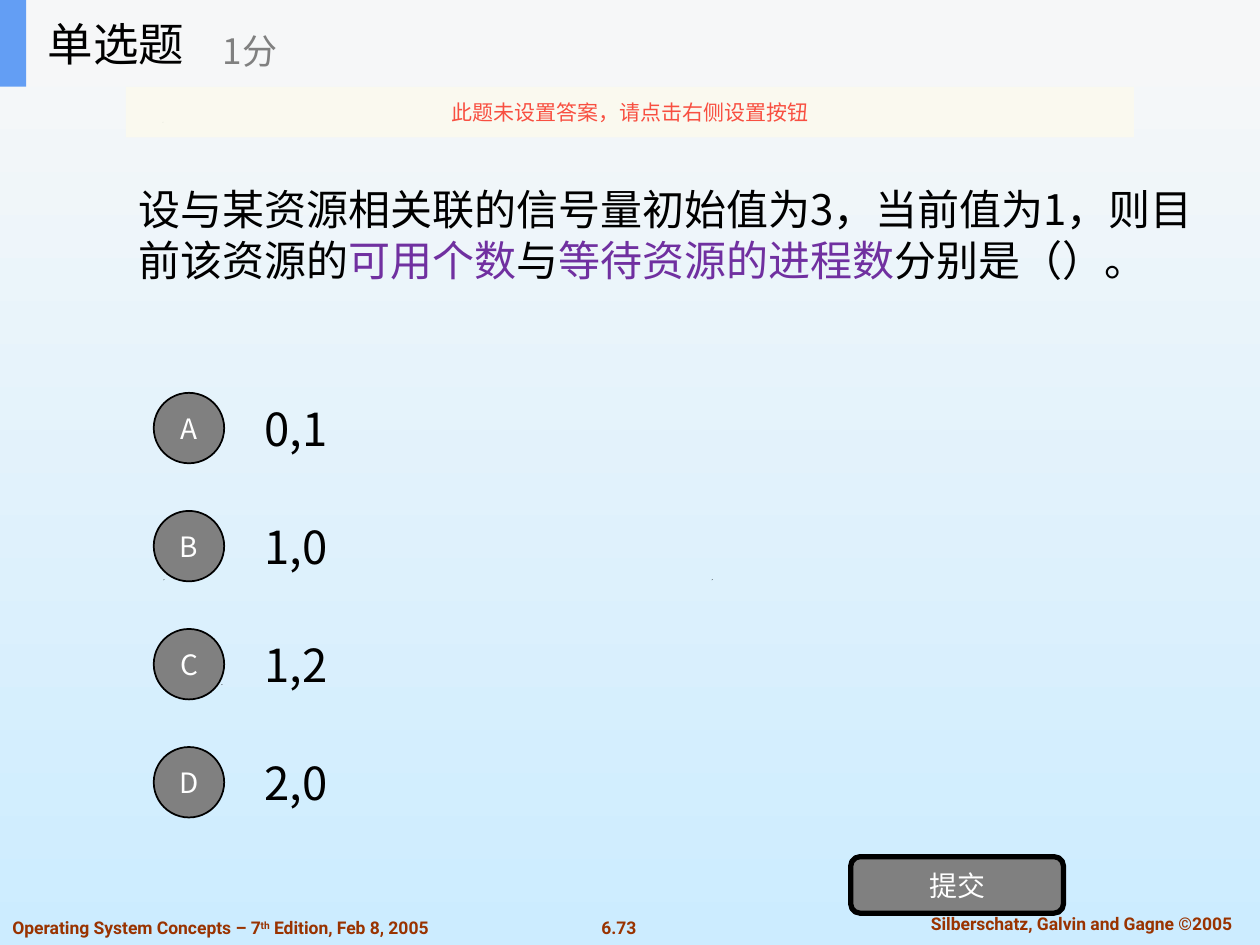
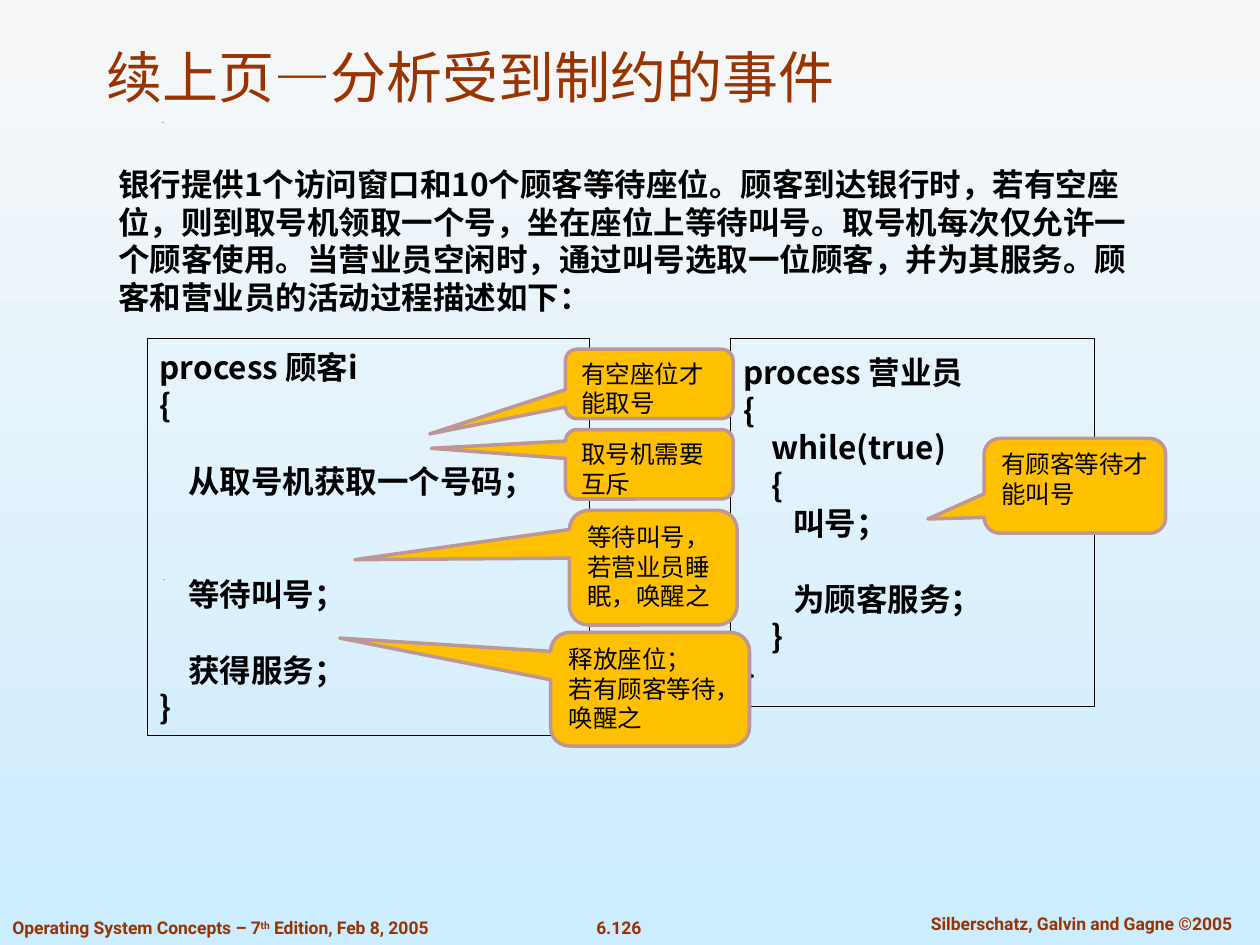
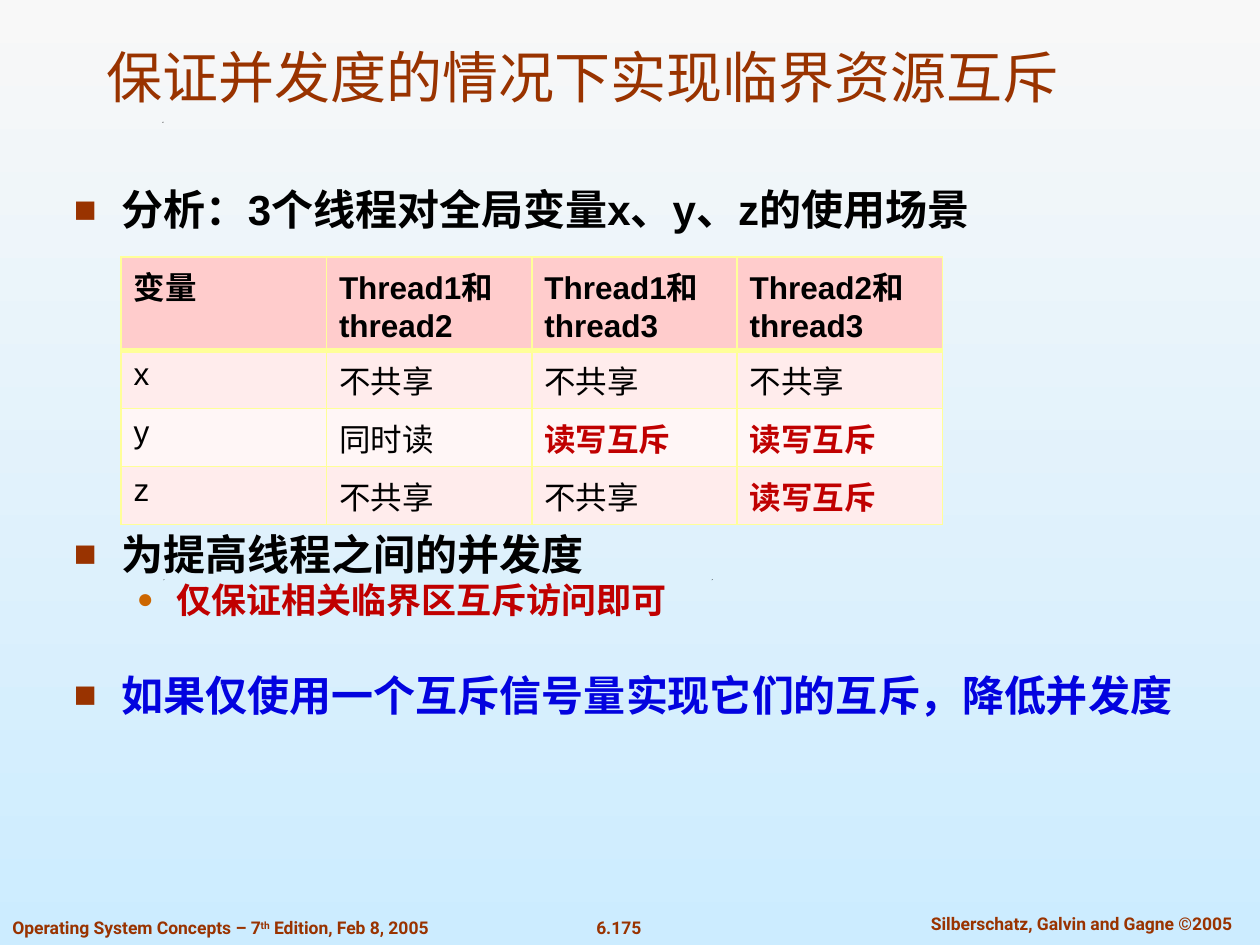
from dataclasses import dataclass, replace
from typing import Optional

from lxml.etree import SubElement
from pptx import Presentation
from pptx.dml.color import RGBColor
from pptx.enum.shapes import MSO_SHAPE as Preset
from pptx.enum.text import MSO_ANCHOR as Anchor, PP_ALIGN as Align
from pptx.oxml.ns import qn
from pptx.util import Cm, Pt

COLORS = {
    "sky_top": "F8F8F8", "sky_bottom": "CCECFF", "rust": "993300",
    "black": "000000", "white": "FFFFFF", "gray": "808080",
    "purple": "7030A0", "red": "C00000", "blue": "0303DF",
    "header": "F6F7F8", "accent": "639EF4", "banner": "FBFAEF",
    "warning": "F84F41", "callout": "FFC000", "callout_edge": "BD9797",
    "bullet": "CC6600", "grid": "FFFF99", "table_head": "FFCCCC",
    "row_odd": "FFECEC", "row_even": "FFF6F6",
}
CJK = "Noto Sans CJK SC"
LINE_RATIO = 1.2


@dataclass(frozen=True)
class Box:
    left: float
    top: float
    width: float
    height: float

    def lengths(self) -> tuple:
        return Cm(self.left), Cm(self.top), Cm(self.width), Cm(self.height)


@dataclass(frozen=True)
class Style:
    size: float
    color: str = "black"
    bold: bool = False
    font: str = CJK
    align: Align = Align.LEFT
    exact: bool = True  # fixed line height of LINE_RATIO times the size


@dataclass(frozen=True)
class Bullet:
    char: str
    color: str
    percent: int
    margin: float
    hanging: float
    level: int = 0


@dataclass(frozen=True)
class Run:
    text: str
    color: Optional[str] = None
    raised: bool = False


@dataclass(frozen=True)
class Line:
    runs: tuple
    style: Style
    before: float = 0
    bullet: Optional[Bullet] = None


@dataclass(frozen=True)
class Callout:
    box: Box
    pointer: tuple
    texts: tuple


FOOTER = Style(10, "rust", True, "Roboto", exact=False)
FOOTER_CENTER = replace(FOOTER, align=Align.CENTER)
TITLE = Style(32, "rust", font="Arial")
QUESTION = Style(24)
OPTION = Style(26, exact=False)
BUTTON = Style(16, "white", align=Align.CENTER, exact=False)
CODE = Style(18, bold=True)
NOTE = Style(14, font="Arial")
POINT = Style(24, bold=True, font="Arial")
CELL = Style(18, font="Arial", exact=False)
SQUARE = Bullet("■", "rust", 90, 0.97, 0.97)
DOT = Bullet("●", "bullet", 80, 2.06, 0.79, 1)


# Text
def rgb(name: str) -> RGBColor:
    return RGBColor.from_string(COLORS[name])


def add_bullet(paragraph, bullet: Bullet) -> None:
    paragraph.level = bullet.level
    properties = paragraph._p.get_or_add_pPr()
    properties.set("marL", str(Cm(bullet.margin)))
    properties.set("indent", str(-Cm(bullet.hanging)))
    color = SubElement(properties, qn("a:buClr"))
    SubElement(color, qn("a:srgbClr"), val=COLORS[bullet.color])
    SubElement(properties, qn("a:buSzPct"), val=str(bullet.percent * 1000))
    SubElement(properties, qn("a:buFont"), typeface="Arial")
    SubElement(properties, qn("a:buChar"), char=bullet.char)


def write_lines(frame, lines: list) -> None:
    for index, line in enumerate(lines):
        paragraph = frame.add_paragraph() if index else frame.paragraphs[0]
        style = line.style
        if line.bullet:
            add_bullet(paragraph, line.bullet)
        paragraph.alignment = style.align
        if style.exact:
            paragraph.line_spacing = Pt(style.size * LINE_RATIO)
        if line.before:
            paragraph.space_before = Pt(line.before)
        font = paragraph.font
        font.size, font.bold, font.name = Pt(style.size), style.bold, style.font
        font.color.rgb = rgb(style.color)
        defaults = paragraph._p.pPr.find(qn("a:defRPr"))
        SubElement(defaults, qn("a:ea"), typeface=CJK)
        for part in line.runs:
            run = paragraph.add_run()
            run.text = part.text
            if part.color:
                run.font.color.rgb = rgb(part.color)
            if part.raised:
                run._r.get_or_add_rPr().set("baseline", "30000")


def plain(text: str, style: Style, before: float = 0,
          bullet: Optional[Bullet] = None) -> Line:
    return Line((Run(text),), style, before, bullet)


def add_text(slide, box: Box, lines: list, anchor: Anchor = Anchor.TOP) -> None:
    frame = slide.shapes.add_textbox(*box.lengths()).text_frame
    frame.word_wrap = True
    frame.vertical_anchor = anchor
    write_lines(frame, lines)


# Shapes
def paint(shape, fill: Optional[str], edge: Optional[str], width: float) -> None:
    shape.shadow.inherit = False
    if fill:
        shape.fill.solid()
        shape.fill.fore_color.rgb = rgb(fill)
    else:
        shape.fill.background()
    if edge:
        shape.line.color.rgb = rgb(edge)
        shape.line.width = Pt(width)
    else:
        shape.line.fill.background()


def add_panel(slide, preset: Preset, box: Box, fill: Optional[str] = None,
              edge: Optional[str] = None, width: float = 1, lines: tuple = (),
              anchor: Anchor = Anchor.MIDDLE):
    shape = slide.shapes.add_shape(preset, *box.lengths())
    paint(shape, fill, edge, width)
    shape.text_frame.word_wrap = True
    shape.text_frame.vertical_anchor = anchor
    write_lines(shape.text_frame, lines)
    return shape


def add_speck(slide, left: float, top: float) -> None:
    size = 0.02
    builder = slide.shapes.build_freeform(Cm(left), Cm(top + size))
    builder.add_line_segments([(Cm(left + size), Cm(top)),
                               (Cm(left), Cm(top))], close=True)
    paint(builder.convert_to_shape(), "black", None, 0)


# Shared slide frame
def new_slide(presentation, page: str):
    slide = presentation.slides.add_slide(presentation.slide_layouts[6])
    fill = slide.background.fill
    fill.gradient()
    fill.gradient_angle = 270
    for stop, name in zip(fill.gradient_stops, ("sky_top", "sky_bottom")):
        stop.color.rgb = rgb(name)
    for left, top in ((4.47, 13.79), (3.3, 11.68), (14.35, 11.68), (3.28, 2.46)):
        add_speck(slide, left, top)
    add_text(slide, Box(11.66, 18.36, 1.63, 0.69), [plain(page, FOOTER_CENTER)])
    add_text(slide, Box(18.03, 18.29, 7.54, 0.69),
             [plain("Silberschatz, Galvin and Gagne ©2005", FOOTER_CENTER)])
    edition = (Run("Operating System Concepts – 7"), Run("th", raised=True),
               Run(" Edition, Feb 8, 2005"))
    add_text(slide, Box(0, 18.36, 10.44, 0.69), [Line(edition, FOOTER)])
    return slide


def add_title(slide, text: str) -> None:
    add_text(slide, Box(1.9, 0.64, 22.43, 1.7), [plain(text, TITLE)], Anchor.BOTTOM)


# Slide 1: single choice question
def build_question(presentation) -> None:
    slide = new_slide(presentation, "6.73")
    question = (Run("设与某资源相关联的信号量初始值为3，当前值为1，则目前该资源的"),
                Run("可用个数", "purple"), Run("与"),
                Run("等待资源的进程数", "purple"), Run("分别是（）。"))
    add_text(slide, Box(2.54, 1.75, 22.15, 5.94), [Line(question, QUESTION)],
             Anchor.MIDDLE)

    first, step = 7.75, 2.38
    for index, (letter, answer) in enumerate(zip("ABCD", ("0,1", "1,0", "1,2", "2,0"))):
        top = first + index * step
        add_text(slide, Box(5.08, top, 17.78, 1.78), [plain(answer, OPTION)],
                 Anchor.MIDDLE)
        add_panel(slide, Preset.OVAL, Box(3.1, top + 0.17, 1.42, 1.42),
                  "gray", "black", 1, [plain(letter, BUTTON)])
    add_panel(slide, Preset.ROUNDED_RECTANGLE, Box(17.15, 17.27, 4.29, 1.14),
              "gray", "black", 3, [plain("提交", BUTTON)])

    add_panel(slide, Preset.RECTANGLE, Box(0, 0, 25.4, 1.75), "header")
    add_panel(slide, Preset.RECTANGLE, Box(0, 0, 0.53, 1.75), "accent")
    add_text(slide, Box(0.71, 0, 5.28, 1.75), [plain("单选题", OPTION)], Anchor.MIDDLE)
    add_text(slide, Box(4.24, 0.3, 6.35, 1.42),
             [plain("1分", Style(20, "gray", exact=False))], Anchor.MIDDLE)
    warning = Style(12, "warning", align=Align.CENTER, exact=False)
    banner = add_panel(slide, Preset.RECTANGLE, Box(2.54, 1.75, 20.32, 1.02), "banner",
                       lines=[plain("此题未设置答案，请点击右侧设置按钮", warning)])
    color = banner._element.spPr.find(qn("a:solidFill"))[0]
    SubElement(color, qn("a:alpha"), val="90000")


# Slide 2: two processes with callouts
def code_lines(rows: list) -> list:
    """Each row is its text and the number of empty lines above it."""
    return [plain(text, CODE, gap * CODE.size * LINE_RATIO) for text, gap in rows]


CUSTOMER = [("process 顾客i", 0), ("{", 0), ("    从取号机获取一个号码；", 1),
            ("    等待叫号；", 2), ("    获得服务；", 1), ("}", 0)]
CLERK = [("process 营业员", 0), ("{", 0), ("    while(true)", 0), ("    {", 0),
         ("       叫号；", 0), ("       为顾客服务；", 1), ("    }", 0), ("}", 0)]
CALLOUTS = [
    Callout(Box(11.4, 7.04, 3.38, 1.4), (-1.31, 0.72), ("有空座位才能取号",)),
    Callout(Box(11.4, 8.66, 3.38, 1.4), (-1.3, -0.23), ("取号机需要互斥",)),
    Callout(Box(19.84, 8.84, 3.66, 1.91), (-0.81, 0.35), ("有顾客等待才能叫号",)),
    Callout(Box(11.1, 12.75, 4.01, 2.29), (-1.56, -0.45),
            ("释放座位；", "若有顾客等待，唤醒之")),
    Callout(Box(11.48, 10.29, 3.38, 2.31), (-1.78, -0.07),
            ("等待叫号，若营业员睡眠，唤醒之",)),
]


def build_processes(presentation) -> None:
    slide = new_slide(presentation, "6.126")
    add_title(slide, "续上页—分析受到制约的事件")
    add_text(slide, Box(2.13, 3.2, 20.93, 3.35), [plain(
        "银行提供1个访问窗口和10个顾客等待座位。顾客到达银行时，若有空座位，"
        "则到取号机领取一个号，坐在座位上等待叫号。取号机每次仅允许一个顾客使用。"
        "当营业员空闲时，通过叫号选取一位顾客，并为其服务。"
        "顾客和营业员的活动过程描述如下：", CODE)])
    for box, rows in ((Box(2.97, 6.83, 8.92, 8), CUSTOMER),
                      (Box(14.73, 6.83, 7.34, 7.42), CLERK)):
        add_panel(slide, Preset.RECTANGLE, box, None, "black", 0.75, code_lines(rows))
    for callout in CALLOUTS:
        shape = add_panel(slide, Preset.ROUNDED_RECTANGULAR_CALLOUT, callout.box,
                          "callout", "callout_edge", 2,
                          [plain(text, NOTE) for text in callout.texts], Anchor.TOP)
        shape.adjustments[0], shape.adjustments[1] = callout.pointer


# Slide 3: variable sharing table
SHARING = [
    ("变量", "Thread1和thread2", "Thread1和thread3", "Thread2和thread3"),
    ("x", "不共享", "不共享", "不共享"),
    ("y", "同时读", "读写互斥", "读写互斥"),
    ("z", "不共享", "不共享", "读写互斥"),
]
ROW_FILLS = ("table_head", "row_odd", "row_even", "row_odd")
ROW_HEIGHTS = (1.88, 1.17, 1.17, 1.17)
COLUMN_WIDTH = 4.14


def add_border(cell, side: str, width: float) -> None:
    properties = cell._tc.get_or_add_tcPr()
    line = SubElement(properties, qn(f"a:ln{side}"), w=str(Pt(width)))
    SubElement(SubElement(line, qn("a:solidFill")), qn("a:srgbClr"), val=COLORS["grid"])


def add_sharing_table(slide, left: float, top: float) -> None:
    box = Box(left, top, COLUMN_WIDTH * len(SHARING[0]), sum(ROW_HEIGHTS))
    table = slide.shapes.add_table(len(SHARING), len(SHARING[0]), *box.lengths()).table
    for column in table.columns:
        column.width = Cm(COLUMN_WIDTH)
    for index, texts in enumerate(SHARING):
        table.rows[index].height = Cm(ROW_HEIGHTS[index])
        for column, text in enumerate(texts):
            cell = table.cell(index, column)
            for side in "LRTB":
                under_header = (index, side) in ((0, "B"), (1, "T"))
                add_border(cell, side, 3 if under_header else 1)
            cell.fill.solid()
            cell.fill.fore_color.rgb = rgb(ROW_FILLS[index])
            exclusive = text == "读写互斥"
            style = replace(CELL, bold=index == 0 or exclusive,
                            color="red" if exclusive else "black")
            write_lines(cell.text_frame, [plain(text, style)])


def build_sharing(presentation) -> None:
    slide = new_slide(presentation, "6.175")
    add_title(slide, "保证并发度的情况下实现临界资源互斥")
    add_text(slide, Box(1.24, 3.58, 21.87, 1.6),
             [plain("分析：3个线程对全局变量x、y、z的使用场景", POINT, bullet=SQUARE)])
    add_sharing_table(slide, 2.44, 5.18)
    add_text(slide, Box(1.24, 10.52, 22.91, 5), [
        plain("为提高线程之间的并发度", POINT, bullet=SQUARE),
        plain("仅保证相关临界区互斥访问即可", replace(POINT, size=20, color="red"),
              bullet=DOT),
        plain("如果仅使用一个互斥信号量实现它们的互斥，降低并发度",
              replace(POINT, color="blue"), 28, SQUARE),
    ])


def main() -> None:
    presentation = Presentation()
    presentation.slide_width, presentation.slide_height = Cm(25.4), Cm(19.05)
    build_question(presentation)
    build_processes(presentation)
    build_sharing(presentation)
    presentation.save("out.pptx")


if __name__ == "__main__":
    main()
